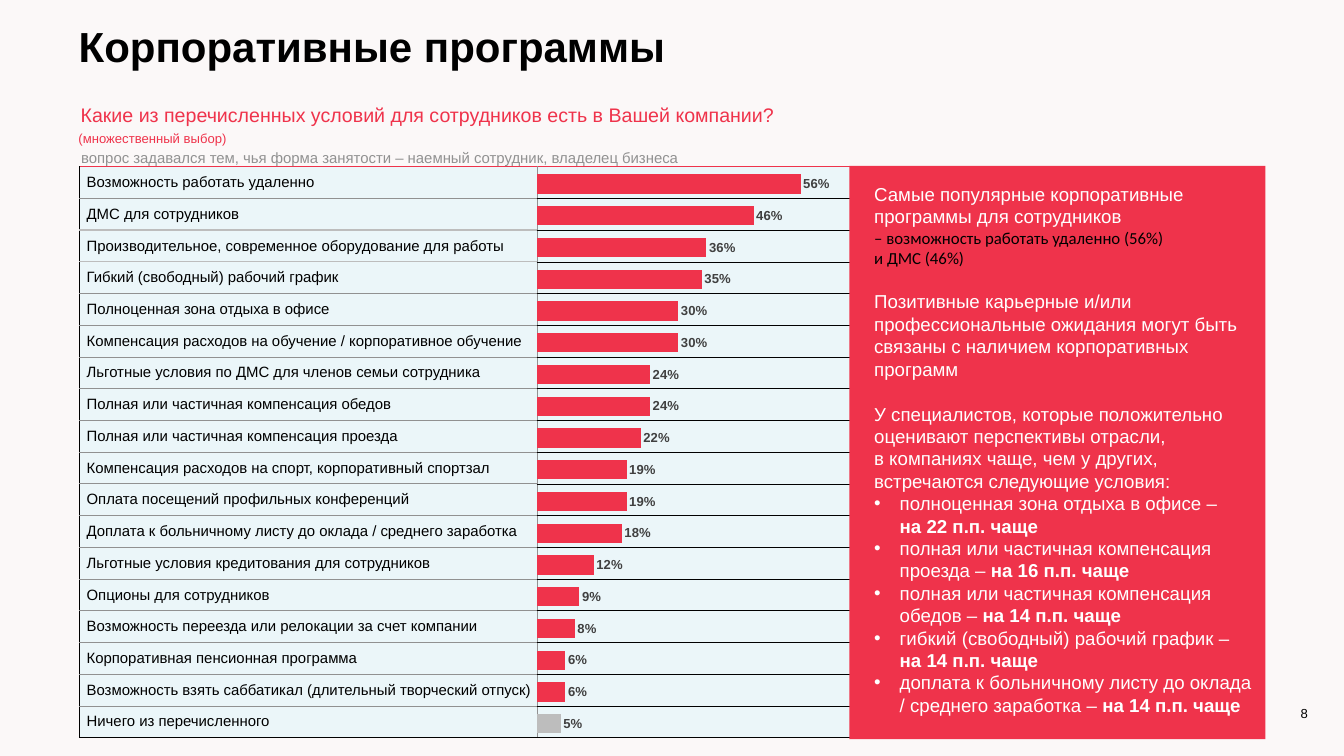
from dataclasses import dataclass

from lxml import etree
from pptx import Presentation, util as u
from pptx.chart.data import CategoryChartData
from pptx.dml.color import RGBColor
from pptx.enum import chart as ch, shapes, text
from pptx.oxml import parse_xml, ns

Inches, Pt = u.Inches, u.Pt


@dataclass(frozen=True)
class Theme:
    font: str = "Arial"
    background: str = "FBF8F8"
    accent: str = "EF334B"
    row: str = "EBF6F9"
    muted: str = "919191"
    neutral: str = "BDBDBD"
    label: str = "404040"
    black: str = "000000"
    white: str = "FFFFFF"
    title_size: int = 45
    question_size: int = 21
    panel_size: int = 20
    body_size: int = 16
    small_size: int = 14


theme = Theme()


def style(font, size, color, bold=False):
    font.name, font.size, font.bold = theme.font, Pt(size), bold
    font.color.rgb = RGBColor.from_string(color)


def add_text(left, top, width, height, content, size, color):
    frame = slide.shapes.add_textbox(
        Inches(left), Inches(top), Inches(width), Inches(height)).text_frame
    frame.word_wrap = True
    frame.text = content
    style(frame.paragraphs[0].font, size, color)
    return frame


programs = [
    ("Возможность работать удаленно", 0.56),
    ("ДМС для сотрудников", 0.46),
    ("Производительное, современное оборудование для работы", 0.36),
    ("Гибкий (свободный) рабочий график", 0.35),
    ("Полноценная зона отдыха в офисе", 0.30),
    ("Компенсация расходов на обучение / корпоративное обучение", 0.30),
    ("Льготные условия по ДМС для членов семьи сотрудника", 0.24),
    ("Полная или частичная компенсация обедов", 0.24),
    ("Полная или частичная компенсация проезда", 0.22),
    ("Компенсация расходов на спорт, корпоративный спортзал", 0.19),
    ("Оплата посещений профильных конференций", 0.19),
    ("Доплата к больничному листу до оклада / среднего заработка", 0.18),
    ("Льготные условия кредитования для сотрудников", 0.12),
    ("Опционы для сотрудников", 0.09),
    ("Возможность переезда или релокации за счет компании", 0.08),
    ("Корпоративная пенсионная программа", 0.06),
    ("Возможность взять саббатикал (длительный творческий отпуск)", 0.06),
    ("Ничего из перечисленного", 0.05),
]
findings = [
    "Самые популярные корпоративные программы для сотрудников \n"
    "– возможность работать удаленно (56%) \nи ДМС (46%)",
    "Позитивные карьерные и/или профессиональные ожидания могут быть "
    "связаны с наличием корпоративных программ",
    "У специалистов, которые положительно оценивают перспективы отрасли,\n"
    "в компаниях чаще, чем у других, встречаются следующие условия:",
]
advantages = [
    ("полноценная зона отдыха в офисе –\n", "на 22 п.п. чаще"),
    ("полная или частичная компенсация проезда – ", "на 16 п.п. чаще"),
    ("полная или частичная компенсация обедов – ", "на 14 п.п. чаще"),
    ("гибкий (свободный) рабочий график – ", "на 14 п.п. чаще"),
    ("доплата к больничному листу до оклада / среднего заработка – ",
     "на 14 п.п. чаще"),
]

prs = Presentation()
prs.slide_width, prs.slide_height = Inches(20), Inches(11.25)
slide = prs.slides.add_slide(prs.slide_layouts[5])
slide.background.fill.solid()
slide.background.fill.fore_color.rgb = RGBColor.from_string(theme.background)

title = slide.shapes.title
title.left, title.top = Inches(1.07), Inches(0.25)
title.width, title.height = Inches(18.02), Inches(1.13)
title.text_frame.text = "Корпоративные программы"
title.text_frame.vertical_anchor = text.MSO_ANCHOR.TOP
title.text_frame.auto_size = text.MSO_AUTO_SIZE.NONE
heading = title.text_frame.paragraphs[0]
heading.alignment = text.PP_ALIGN.LEFT
style(heading.font, theme.title_size, theme.black, True)

programs_table = slide.shapes.add_table(
    len(programs), 2, Inches(1.18), Inches(2.48), Inches(12), Inches(8.5)).table
programs_table.first_row = programs_table.horz_banding = False
programs_table.columns[0].width = Inches(6.81)
programs_table.columns[1].width = Inches(5.19)
black_line, grey_line = (theme.black, 0.75), (theme.muted, 0.96)
red_line, pale_line = (theme.accent, 0.96), (theme.neutral, 1.47)
last = len(programs) - 1
label_rules = [red_line, grey_line, pale_line, pale_line] + [grey_line] * (last - 3) + [black_line]
bar_rules = [red_line] + [black_line] * (last + 1)
for row, (program, share) in enumerate(programs):
    name_cell, bar_cell = programs_table.cell(row, 0), programs_table.cell(row, 1)
    name_cell.text = program
    name_cell.vertical_anchor = text.MSO_ANCHOR.MIDDLE
    name_cell.margin_left = name_cell.margin_right = Inches(0.01)
    name = name_cell.text_frame.paragraphs[0]
    name._p.get_or_add_pPr().set("marL", str(Inches(0.1)))
    style(name.font, theme.body_size, theme.black)
    sides = [(name_cell, black_line, grey_line, label_rules),
             (bar_cell, grey_line, black_line, bar_rules)]
    for cell, left, right, rules in sides:
        cell.fill.solid()
        cell.fill.fore_color.rgb = RGBColor.from_string(theme.row)
        edges = zip("LRTB", (left, right, rules[row], rules[row + 1]))
        for place, (side, (color, weight)) in enumerate(edges):
            cell._tc.get_or_add_tcPr().insert(place, parse_xml(
                f'<a:ln{side} {ns.nsdecls("a")} w="{Pt(weight)}"><a:solidFill>'
                f'<a:srgbClr val="{color}"/></a:solidFill></a:ln{side}>'))

page = add_text(18.67, 10.48, 0.89, 0.27, "8", theme.small_size, theme.black)
page.vertical_anchor = text.MSO_ANCHOR.MIDDLE
page.paragraphs[0].alignment = text.PP_ALIGN.RIGHT

question = add_text(
    1.2, 1.53, 11.13, 0.6,
    "Какие из перечисленных условий для сотрудников есть в Вашей компании?",
    theme.question_size, theme.accent)
question.margin_left = question.margin_right = question.margin_top = question.margin_bottom = 0
choice = add_text(1.07, 1.92, 5.67, 0.49, "(множественный выбор)",
                  theme.small_size, theme.accent)
choice.paragraphs[0].line_spacing = 0.9

panel = slide.shapes.add_shape(
    shapes.MSO_SHAPE.RECTANGLE, Inches(12.64), Inches(2.47), Inches(6.19), Inches(8.53))
panel.shadow.inherit = False
panel.fill.solid()
panel.fill.fore_color.rgb = RGBColor.from_string(theme.accent)
panel.line.fill.background()

summary = add_text(12.91, 2.67, 5.82, 7.99, findings[0], theme.panel_size, theme.white)
for finding in findings[1:]:
    paragraph = summary.add_paragraph()
    paragraph.text = finding
    paragraph.space_before = Pt(24)
    style(paragraph.font, theme.panel_size, theme.white)
for condition, gain in advantages:
    paragraph = summary.add_paragraph()
    paragraph.text = condition
    paragraph.add_run().text = gain
    paragraph.runs[-1].font.bold = True
    props = paragraph._p.get_or_add_pPr()
    props.set("marL", str(Inches(0.38)))
    props.set("indent", str(-Inches(0.38)))
    bullet_color = etree.SubElement(props, ns.qn("a:buClr"))
    etree.SubElement(bullet_color, ns.qn("a:srgbClr"), val=theme.white)
    etree.SubElement(props, ns.qn("a:buFont"), typeface=theme.font)
    etree.SubElement(props, ns.qn("a:buChar"), char="•")
    style(paragraph.font, theme.panel_size, theme.white)

shares = CategoryChartData(number_format="0%")
shares.categories = [str(n + 1) for n in range(len(programs))]
shares.add_series("Series 1", [share for program, share in reversed(programs)])
chart = slide.shapes.add_chart(
    ch.XL_CHART_TYPE.BAR_CLUSTERED, Inches(7.94), Inches(2.27),
    Inches(4.84), Inches(8.89), shares).chart
chart.has_legend = chart.has_title = False
style(chart.font, 10, theme.black)
chart.category_axis.visible = chart.value_axis.visible = False
chart.value_axis.has_major_gridlines = False
chart.value_axis.minimum_scale, chart.value_axis.maximum_scale = 0, 0.6
plot = chart.plots[0]
plot.gap_width, plot.vary_by_categories = 65, False
bars = plot.series[0]
for fill, color in ((bars.format.fill, theme.accent),
                    (bars.points[0].format.fill, theme.neutral)):
    fill.solid()
    fill.fore_color.rgb = RGBColor.from_string(color)
labels = bars.data_labels
labels.show_value = True
labels.number_format, labels.number_format_is_linked = "0%", False
labels.position = ch.XL_LABEL_POSITION.OUTSIDE_END
style(labels.font, theme.small_size, theme.label, True)
plot_area = chart._chartSpace.chart.plotArea
for layout in plot_area.findall(ns.qn("c:layout")):
    plot_area.remove(layout)
settings = dict(layoutTarget="inner", xMode="edge", yMode="edge", x=0.011, y=0.026, w=0.868, h=0.957)
values = "".join(f'<c:{key} val="{value}"/>' for key, value in settings.items())
plot_area.insert(0, parse_xml(
    f'<c:layout {ns.nsdecls("c")}><c:manualLayout>{values}</c:manualLayout></c:layout>'))

add_text(1.11, 2.16, 9.67, 0.59,
         "вопрос задавался тем, чья форма занятости – наемный сотрудник, владелец бизнеса",
         theme.body_size, theme.muted)

prs.save("out.pptx")
